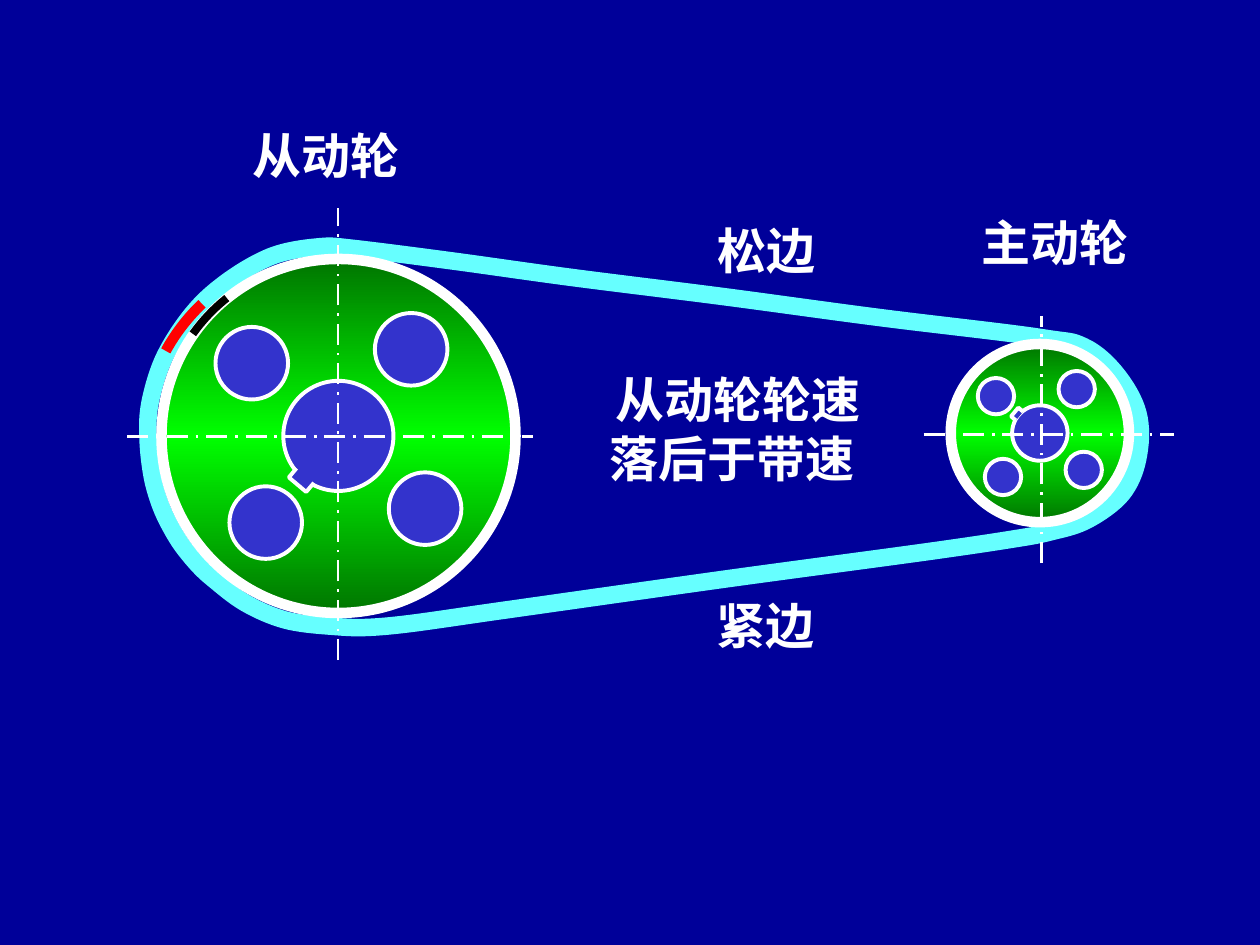
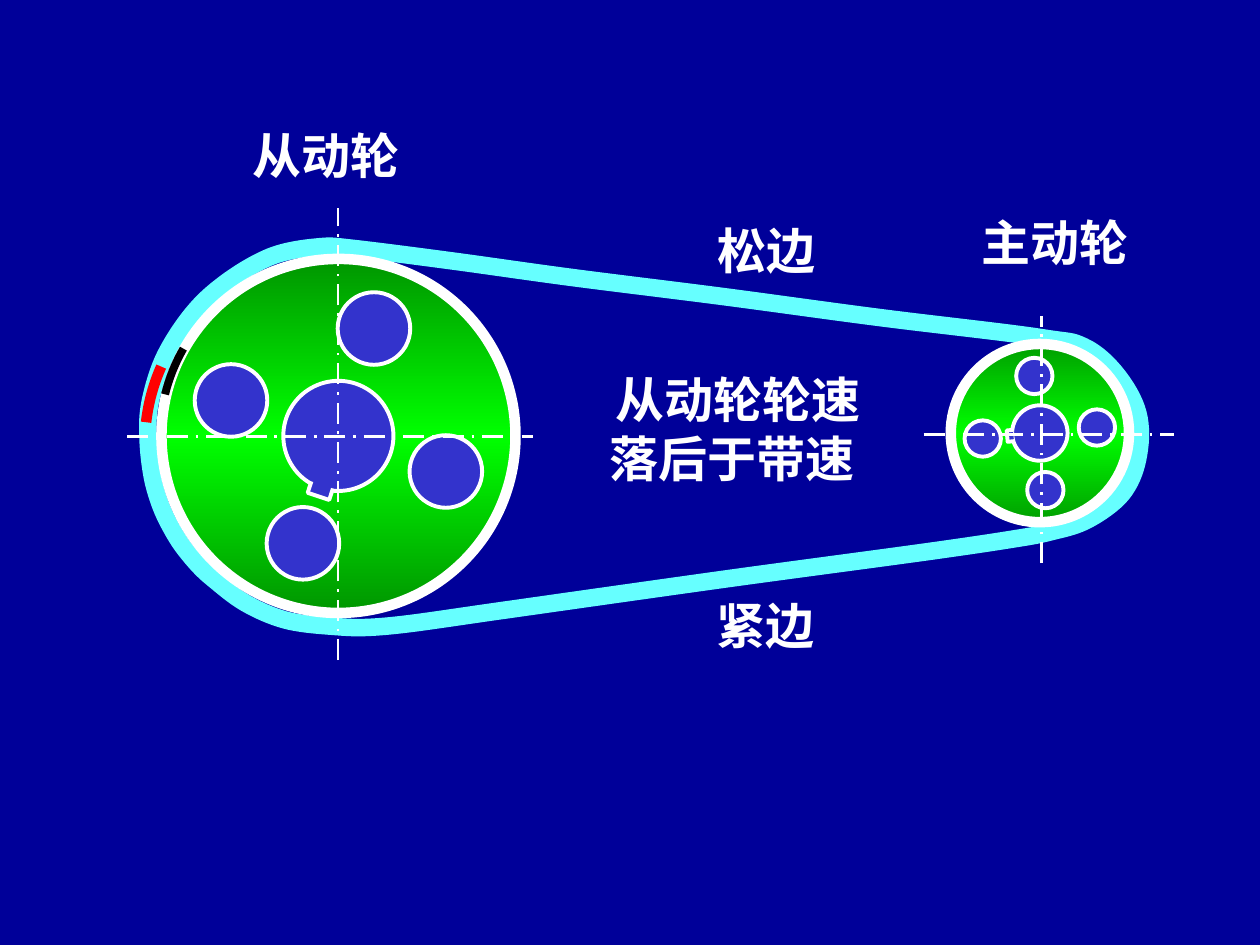
from dataclasses import dataclass
from math import cos, radians, sin

from lxml import etree
from pptx import Presentation
from pptx.dml.color import RGBColor
from pptx.enum.dml import MSO_LINE
from pptx.enum.shapes import MSO_CONNECTOR, MSO_SHAPE
from pptx.enum.text import PP_ALIGN
from pptx.oxml import parse_xml
from pptx.oxml.ns import nsdecls, qn
from pptx.util import Inches, Pt

OVAL, ARC = MSO_SHAPE.OVAL, MSO_SHAPE.ARC
STRAIGHT = MSO_CONNECTOR.STRAIGHT
DASH_DOT = MSO_LINE.LONG_DASH_DOT
CENTER = PP_ALIGN.CENTER

WIDTH, HEIGHT = Inches(10), Inches(7.5)
COLUMNS = 100
CELL = WIDTH / COLUMNS
ARC_UNITS_PER_DEGREE = 0.6

NAVY, WHITE, BLACK, RED = "000099", "FFFFFF", "000000", "FF0000"
CYAN, BLUE, GREEN, DARK_GREEN = "66FFFF", "3333CC", "00FF00", "007500"
FONT = "Times New Roman"

Point = tuple[float, float]


@dataclass(frozen=True)
class Wheel:
    cx: float
    cy: float
    rim: float
    hub: float
    hole: float
    hole_orbit: float
    key_base: float
    key_tip: float
    key_half: float


@dataclass(frozen=True)
class Label:
    text: str
    x: float
    y: float
    w: float
    h: float = 5.7


@dataclass(frozen=True)
class Mark:
    x: float
    y: float
    w: float
    h: float
    start: float
    end: float
    color: str
    width: float
    rotation: float = 0


@dataclass(frozen=True)
class Stage:
    driven_turn: float
    driver_turn: float
    belt_mark: Mark


DRIVEN = Wheel(26.86, 34.6, 14.05, 4.37, 2.88, 8.98, 4.1, 5.05, 0.9)
DRIVER = Wheel(82.53, 34.37, 7.07, 2.2, 1.44, 4.55, 2.1, 2.6, 0.45)

LABELS = [
    Label("从动轮轮速落后于带速 ", 46.7, 28.85, 23.7, 10.4),
    Label("松边 ", 55.4, 17, 11.8),
    Label("紧边 ", 55.3, 46.8, 11.8),
]
WHEEL_LABELS = [
    Label("主动轮 ", 75.5, 16.35, 17.4),
    Label("从动轮 ", 17.6, 9.5, 17.4),
]

AXES = [
    ((10.1, 34.63), (42.3, 34.63)),
    ((26.83, 52.4), (26.83, 16.5)),
    ((73.3, 34.5), (93.2, 34.5)),
    ((82.66, 44.7), (82.66, 25.1)),
]

STAGES = [
    Stage(-50, 40, Mark(11.3, 19.8, 31.2, 30.6, 207.8, 225.3, RED, 6)),
    Stage(-71.7, -5.5, Mark(11.5, 19.9, 31.2, 30.6, 186.2, 203.1, RED, 6)),
]

BELT_HANDLES = [
    ((85.2, 27.2), (80.1, 26.4)),
    ((74.5, 25.8), (66.6, 24.8)),
    ((63.1, 24.3), (54.9, 23.2)),
    ((49.8, 22.6), (42.1, 21.6)),
    ((38.8, 21.1), (32.8, 20.3)),
    ((29.7, 19.9), (26.1, 19.5)),
    ((26.3, 19.5), (24.1, 19.7)),
    ((22.6, 19.9), (20.2, 20.9)),
    ((18.9, 21.7), (16.9, 23.2)),
    ((16.2, 23.8), (14.6, 25.7)),
    ((13.8, 26.9), (12.6, 29.2)),
    ((12.2, 30.6), (11.7, 32.9)),
    ((11.7, 33.7), (11.8, 36.1)),
    ((12, 37.7), (12.6, 39.8)),
    ((12.9, 40.6), (13.8, 42.3)),
    ((14.2, 43), (15.4, 44.5)),
    ((16, 45.2), (17.6, 46.5)),
    ((18.5, 47.3), (20.4, 48.4)),
    ((21.5, 48.9), (23.7, 49.5)),
    ((24.9, 49.6), (27.6, 49.8)),
    ((28.4, 49.9), (32.9, 49.5)),
    ((35.3, 49.1), (44.5, 47.8)),
    ((52.2, 46.7), (63.8, 45.1)),
    ((70.7, 44.2), (78.5, 43.1)),
    ((79.7, 42.9), (82.8, 42.4)),
    ((83, 42.3), (84.7, 41.9)),
    ((85.5, 41.7), (87.2, 40.8)),
    ((88.4, 40), (89.7, 38.4)),
    ((90.1, 37.4), (90.5, 35.4)),
    ((90.6, 34.3), (90.2, 32.1)),
    ((89.6, 31), (88.1, 29)),
    ((87.1, 28), (84.9, 27)),
]


def rgb(value: str) -> RGBColor:
    return RGBColor.from_string(value)


def cells(*values: float) -> list[int]:
    return [round(v * CELL) for v in values]


def polar(center: Point, radius: float, angle: float) -> Point:
    a = radians(angle)
    return center[0] + radius * cos(a), center[1] + radius * sin(a)


def style(sp, line: str, width: float, fill: str | None = None) -> None:
    sp.shadow.inherit = False
    if fill:
        sp.fill.solid()
        sp.fill.fore_color.rgb = rgb(fill)
    else:
        sp.fill.background()
    sp.line.color.rgb = rgb(line)
    sp.line.width = Pt(width)


def outline(shapes, points: list[Point], closed: bool = False):
    builder = shapes.build_freeform(*cells(*points[0]), scale=1.0)
    builder.add_line_segments([cells(*p) for p in points[1:]], close=closed)
    return builder.convert_to_shape()


def add_belt(s) -> None:
    anchors = [((a[0] + b[0]) / 2, (a[1] + b[1]) / 2) for a, b in BELT_HANDLES]
    sp = outline(s.shapes, anchors + anchors[:1], closed=True)
    style(sp, CYAN, 10)
    following = BELT_HANDLES[1:] + BELT_HANDLES[:1]
    segments = list(sp._element.iter(qn("a:lnTo")))
    for segment, (_, leaving), (arriving, _) in zip(segments, BELT_HANDLES, following):
        curve = etree.Element(qn("a:cubicBezTo"))
        for handle in (leaving, arriving):
            x, y = cells(*handle)
            etree.SubElement(curve, qn("a:pt"), x=str(x - sp.left), y=str(y - sp.top))
        curve.append(segment[0])
        segment.getparent().replace(segment, curve)


def add_circle(shapes, center: Point, radius: float, width: float):
    x, y = center
    sp = shapes.add_shape(OVAL, *cells(x - radius, y - radius, 2 * radius, 2 * radius))
    style(sp, WHITE, width, BLUE)
    return sp


def shade_rim(sp) -> None:
    stops = "".join(
        f'<a:gs pos="{share * 1000}"><a:srgbClr val="{color}"/></a:gs>'
        for share, color in ((0, DARK_GREEN), (50, GREEN), (100, DARK_GREEN)))
    gradient = parse_xml(
        f'<a:gradFill {nsdecls("a")} rotWithShape="0"><a:gsLst>{stops}</a:gsLst>'
        '<a:lin ang="5400000" scaled="0"/></a:gradFill>')
    spPr = sp._element.spPr
    spPr.replace(spPr.find(qn("a:solidFill")), gradient)


def add_wheel(s, wheel: Wheel, turn: float) -> None:
    shapes = s.shapes.add_group_shape().shapes
    center = (wheel.cx, wheel.cy)
    rim = add_circle(shapes, center, wheel.rim, 6)
    rim.rotation = turn + 140
    shade_rim(rim)
    for quarter in range(4):
        add_circle(shapes, polar(center, wheel.hole_orbit, turn + 90 * quarter),
                   wheel.hole, 2.25)
    add_circle(shapes, center, wheel.hub, 2.25)
    key_angle = turn + 180
    corners = [(wheel.key_base, -1), (wheel.key_tip, -1),
               (wheel.key_tip, 1), (wheel.key_base, 1)]
    key = [polar(polar(center, reach, key_angle), side * wheel.key_half, key_angle + 90)
           for reach, side in corners]
    style(outline(shapes, key), WHITE, 2.25, BLUE)


def add_mark(s, mark: Mark) -> None:
    sp = s.shapes.add_shape(ARC, *cells(mark.x, mark.y, mark.w, mark.h))
    sp.adjustments[0] = mark.start * ARC_UNITS_PER_DEGREE
    sp.adjustments[1] = mark.end * ARC_UNITS_PER_DEGREE
    sp.rotation = mark.rotation
    style(sp, mark.color, mark.width)


def add_axis(s, start: Point, end: Point) -> None:
    axis = s.shapes.add_connector(STRAIGHT, *cells(*start, *end))
    axis.line.color.rgb = rgb(WHITE)
    axis.line.width = Pt(1.5)
    axis.line.dash_style = DASH_DOT
    etree.SubElement(axis._element.spPr, qn("a:effectLst"))


def add_label(s, label: Label) -> None:
    tf = s.shapes.add_textbox(*cells(label.x, label.y, label.w, label.h)).text_frame
    tf.word_wrap = True
    p = tf.paragraphs[0]
    p.alignment = CENTER
    r = p.add_run()
    r.text = label.text
    r.font.name = FONT
    r.font.size = Pt(28)
    r.font.bold = True
    r.font.color.rgb = rgb(WHITE)


def add_drive(prs, stage: Stage) -> None:
    s = prs.slides.add_slide(prs.slide_layouts[6])
    add_belt(s)
    for label in WHEEL_LABELS:
        add_label(s, label)
    add_wheel(s, DRIVER, stage.driver_turn)
    add_wheel(s, DRIVEN, stage.driven_turn)
    for start, end in AXES:
        add_axis(s, start, end)
    add_mark(s, Mark(12.7, 20.6, 28.1, 28.1, 272.7, 288.7, BLACK, 4.5,
                     stage.driven_turn + 352.8))
    add_mark(s, stage.belt_mark)
    for label in LABELS:
        add_label(s, label)


def main() -> None:
    prs = Presentation()
    prs.slide_width, prs.slide_height = WIDTH, HEIGHT
    background = prs.slide_master.background.fill
    background.solid()
    background.fore_color.rgb = rgb(NAVY)
    for stage in STAGES:
        add_drive(prs, stage)
    prs.save("out.pptx")


if __name__ == "__main__":
    main()
